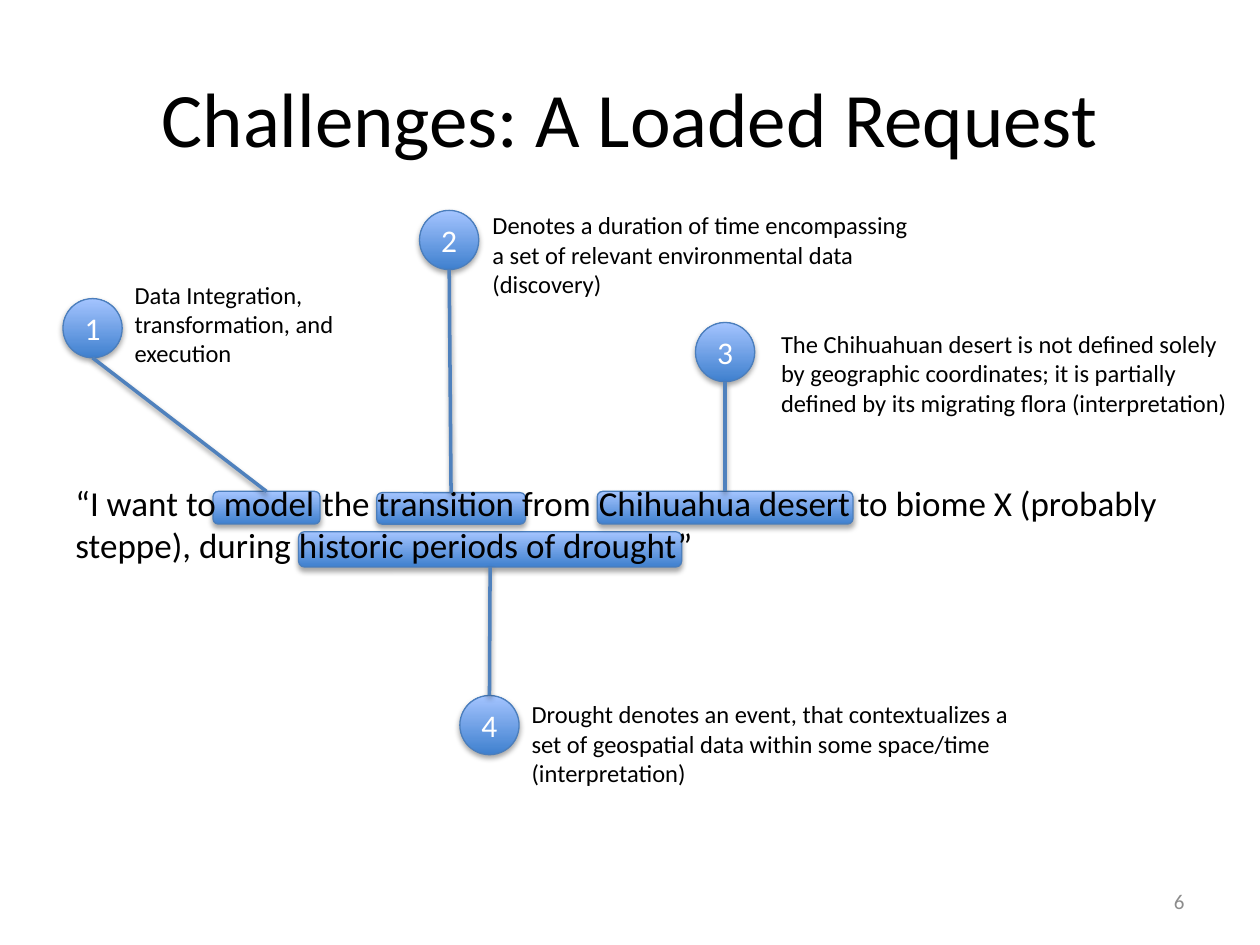
from lxml.etree import fromstring
from pptx import Presentation
from pptx.dml.color import RGBColor
from pptx.enum.shapes import MSO_CONNECTOR, MSO_SHAPE
from pptx.enum.text import MSO_ANCHOR, MSO_AUTO_SIZE, PP_ALIGN
from pptx.util import Inches, Pt

CELL = 0.1
CIRCLE = 4.7
NOTE_HEIGHT = 8.1
MAIN_NAMESPACE = "http://schemas.openxmlformats.org/drawingml/2006/main"

HIGHLIGHTS = {
    "model": (16.9, 39, 8.5, 2.6),
    "drought": (23.7, 42.2, 30.4, 2.8),
    "desert": (47.4, 39, 20.3, 2.6),
    "transition": (29.9, 39.1, 11.8, 2.5),
}

CALLOUTS = [
    ("1", "model", (5, 23.7), (9.7, 21.7, 20.1),
     "Data Integration, transformation, and execution"),
    ("2", "transition", (33.3, 16.7), (38.1, 16.2, 36.2),
     "Denotes a duration of time encompassing a set of relevant "
     "environmental data (discovery)"),
    ("3", "desert", (55.2, 25.6), (61, 25.6, 38.1),
     "The Chihuahuan desert is not defined solely by geographic coordinates; "
     "it is partially defined by its migrating flora (interpretation)"),
    ("4", "drought", (36.5, 55.2), (41.2, 55, 41.2),
     "Drought denotes an event, that contextualizes a set of geospatial data "
     "within some space/time (interpretation)"),
]


def color(value):
    return RGBColor.from_string(value)


def grid(*cells):
    return [Inches(cell * CELL) for cell in cells]


class SlideBuilder:
    font = "Calibri"
    ink = "000000"
    gradient = ("3F80CE", "A4C4FF")
    outline = "4B7EBC"
    connector = "4F81BD"

    def __init__(self, presentation):
        self.slide = presentation.slides.add_slide(presentation.slide_layouts[5])

    def fill_text(self, shape, text, size, ink=None, align=PP_ALIGN.LEFT, **frame_format):
        frame = shape.text_frame
        frame.text = text
        for name, value in {"word_wrap": True, **frame_format}.items():
            setattr(frame, name, value)
        paragraph = frame.paragraphs[0]
        paragraph.alignment = align
        font = paragraph.runs[0].font
        for name, value in {"name": self.font, "size": Pt(size)}.items():
            setattr(font, name, value)
        font.color.rgb = color(ink or self.ink)

    def stroke(self, shape, ink, width):
        shape.line.color.rgb = color(ink)
        shape.line.width = Pt(width)

    def shadow(self, shape, distance, opacity):
        shape._element.spPr.append(fromstring(
            f'<a:effectLst xmlns:a="{MAIN_NAMESPACE}">'
            f'<a:outerShdw blurRad="{Pt(3.1)}" dist="{Pt(distance)}" '
            'dir="5400000" rotWithShape="0"><a:srgbClr val="000000">'
            f'<a:alpha val="{opacity * 1000}"/></a:srgbClr>'
            '</a:outerShdw></a:effectLst>'))

    def title(self, text, box):
        shape = self.slide.shapes.title
        for name, value in zip(("left", "top", "width", "height"), grid(*box)):
            setattr(shape, name, value)
        self.fill_text(shape, text, 44, align=PP_ALIGN.CENTER,
                       vertical_anchor=MSO_ANCHOR.MIDDLE)

    def text(self, text, box, size, **text_format):
        shape = self.slide.shapes.add_textbox(*grid(*box))
        self.fill_text(shape, text, size, **text_format)

    def glossy_shape(self, kind, box):
        shape = self.slide.shapes.add_shape(kind, *grid(*box))
        shape.fill.gradient()
        shape.fill.gradient_angle = 90
        for stop, position, value in zip(shape.fill.gradient_stops, (0, 1), self.gradient):
            stop.position = position
            stop.color.rgb = color(value)
        self.stroke(shape, self.outline, 0.75)
        self.shadow(shape, 1.8, 35)
        return shape

    def highlight(self, box):
        self.glossy_shape(MSO_SHAPE.ROUNDED_RECTANGLE, box)

    def number(self, text, corner):
        shape = self.glossy_shape(MSO_SHAPE.FLOWCHART_CONNECTOR, (*corner, CIRCLE, CIRCLE))
        self.fill_text(shape, text, 18, "FFFFFF", PP_ALIGN.CENTER,
                       vertical_anchor=MSO_ANCHOR.MIDDLE, margin_left=0, margin_right=0)

    def link(self, start, end):
        line = self.slide.shapes.add_connector(MSO_CONNECTOR.STRAIGHT, *grid(*start, *end))
        self.stroke(line, self.connector, 2)
        self.shadow(line, 1.6, 38)

    def callout(self, number, target, corner, note, text):
        left, top, width, height = target
        circle_left, circle_top = corner
        above = circle_top < top
        self.number(number, corner)
        self.text(text, (*note, NOTE_HEIGHT), 14, auto_size=MSO_AUTO_SIZE.SHAPE_TO_FIT_TEXT)
        self.link((left + width / 2, top if above else top + height),
                  (circle_left + CIRCLE / 2, circle_top + CIRCLE if above else circle_top))


def main():
    presentation = Presentation()
    presentation.slide_width, presentation.slide_height = grid(100, 75)
    builder = SlideBuilder(presentation)
    builder.title("Challenges: A Loaded Request", (5, 3, 90, 12.5))
    for box in HIGHLIGHTS.values():
        builder.highlight(box)
    builder.text("“I want to model the transition from Chihuahua desert to biome X "
                 "(probably steppe), during historic periods of drought”",
                 (5, 37.7, 88.9, 7.7), 20, auto_size=MSO_AUTO_SIZE.SHAPE_TO_FIT_TEXT)
    for number, target, corner, note, text in CALLOUTS:
        builder.callout(number, HIGHLIGHTS[target], corner, note, text)
    builder.text("6", (71.7, 69.5, 23.3, 4), 12, ink="8C8C8C", align=PP_ALIGN.RIGHT,
                 vertical_anchor=MSO_ANCHOR.MIDDLE)
    presentation.save("out.pptx")


if __name__ == "__main__":
    main()
